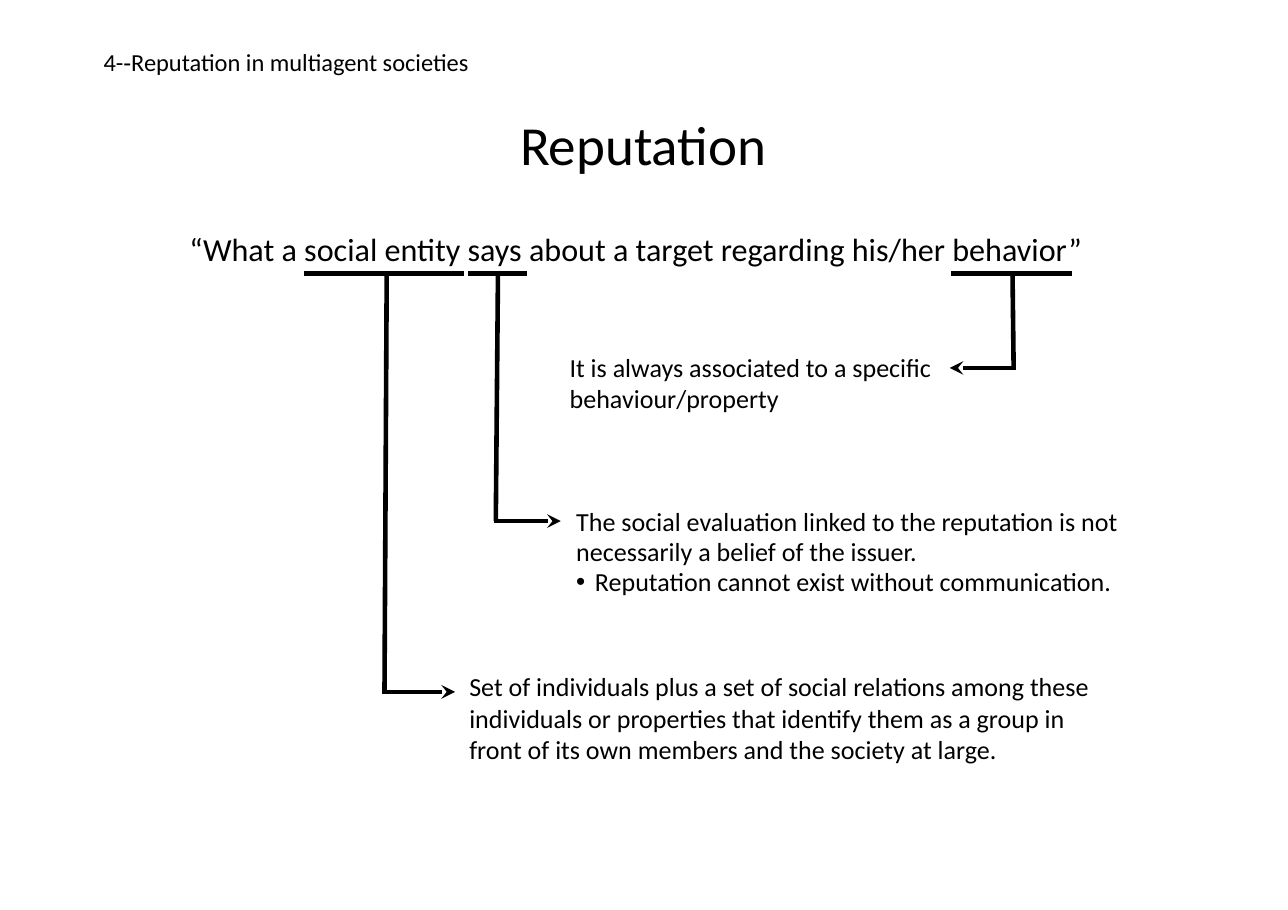
import pptx
import pptx.util
import pptx.dml.color
import pptx.enum.dml
import pptx.enum.shapes
import pptx.enum.text
import pptx.oxml
import pptx.oxml.ns

Inches, Pt = pptx.util.Inches, pptx.util.Pt
COLORS = {"ink": "000000", "paper": "FFFFFF"}
INK = pptx.dml.color.RGBColor.from_string(COLORS["ink"])
FRAME = {
    "word_wrap": True,
    "auto_size": pptx.enum.text.MSO_AUTO_SIZE.NONE,
    "vertical_anchor": pptx.enum.text.MSO_ANCHOR.TOP,
    "margin_left": 0,
    "margin_right": 0,
    "margin_bottom": 0,
}


def fill_text(sp, box, lines, size, inset, **spacing):
    """Place a text shape and write its formatted paragraphs."""
    sp.left, sp.top, sp.width, sp.height = [Inches(v) for v in box]
    tf = sp.text_frame
    for name, value in FRAME.items():
        setattr(tf, name, value)
    tf.margin_top = Inches(inset)
    formats = {"alignment": pptx.enum.text.PP_ALIGN.LEFT, "line_spacing": 1.0,
               "space_before": Pt(0), "space_after": Pt(0), **spacing}
    for i, line in enumerate(lines):
        p = tf.paragraphs[0] if i == 0 else tf.add_paragraph()
        for name, value in formats.items():
            setattr(p, name, value)
        r = p.add_run()
        r.text = line
        for name, value in {"name": "Calibri", "size": Pt(size), "bold": False}.items():
            setattr(r.font, name, value)
        r.font.color.rgb = INK
    return tf


def add_line(s, x1, y1, x2, y2, arrow=False):
    """Draw a thick line, with an arrowhead at its end if asked."""
    line = s.shapes.add_connector(pptx.enum.shapes.MSO_CONNECTOR.STRAIGHT,
                                  Inches(x1), Inches(y1), Inches(x2), Inches(y2))
    line.line.width = Pt(3)
    line.line.color.rgb = INK
    ns = pptx.oxml.ns.nsdecls("a")
    if arrow:
        ln = line.line._get_or_add_ln()
        ln.append(pptx.oxml.parse_xml(f'<a:tailEnd {ns} type="stealth" w="med" len="med"/>'))
    line._element.spPr.append(pptx.oxml.parse_xml(f"<a:effectLst {ns}/>"))


prs = pptx.Presentation()
prs.slide_width, prs.slide_height = Inches(11.69), Inches(8.26)
s = prs.slides.add_slide(prs.slide_layouts[1])
s.background.fill.solid()
s.background.fill.fore_color.rgb = pptx.dml.color.RGBColor.from_string(COLORS["paper"])

# Title
fill_text(s.shapes.title, (4.72, 0.99, 3.73, 0.63), ["Reputation"], 36, 0.01,
          space_before=Pt(1))

# Body: evaluation note with one bullet
tf = fill_text(s.placeholders[1], (5.23, 4.56, 5.27, 0.9), [
    "The social evaluation linked to the reputation is not necessarily a belief of the issuer.",
    "Reputation cannot exist without communication.",
], 17, 0.03, line_spacing=Pt(20))
note, bullet = tf.paragraphs
note.space_before = Pt(2)
bullet.line_spacing = Pt(19.4)
for p, margin, indent in [(note, 0, 0), (bullet, 0.17, -0.17)]:
    pPr = p._p.get_or_add_pPr()
    pPr.set("marL", str(Inches(margin)))
    pPr.set("indent", str(Inches(indent)))
note._p.pPr.append(pptx.oxml.parse_xml(f'<a:buNone {pptx.oxml.ns.nsdecls("a")}/>'))

# Header, quotation and the two plain notes
texts = [
    ((0.94, 0.42, 3.6, 0.29), "4-‐Reputation in multiagent societies", 16, 0.01,
     {"space_before": Pt(1)}),
    ((1.72, 2.07, 9.56, 0.38),
     "“What a social entity says about a target regarding his/her behavior”", 21, 0.01,
     {"space_before": Pt(1)}),
    ((5.17, 3.17, 3.59, 0.59),
     "It is always associated to a speciﬁc behaviour/property", 17, 0.03,
     {"space_before": Pt(2), "line_spacing": Pt(20)}),
    ((4.26, 6.09, 5.74, 0.9),
     "Set of individuals plus a set of social relations among these individuals or "
     "properties that identify them as a group in front of its own members and the "
     "society at large.", 17, 0, {}),
]
for box, text, size, inset, spacing in texts:
    sp = s.shapes.add_textbox(*[Inches(v) for v in box])
    fill_text(sp, box, [text], size, inset, **spacing)

# Underlined phrases, each with a stem and an arrow to its note
# underline start, underline end, stem top x, stem foot x, foot y, arrow tip x
UNDERLINE_Y = 2.48
callouts = [
    (2.76, 4.21, 3.51, 3.49, 6.28, 4.13),
    (4.25, 4.78, 4.52, 4.5, 4.73, 5.09),
    (8.63, 9.73, 9.19, 9.2, 3.34, 8.62),
]
for start, end, top_x, foot_x, foot_y, tip_x in callouts:
    corner = 0.02 if tip_x < foot_x else -0.02
    add_line(s, start, UNDERLINE_Y, end, UNDERLINE_Y)
    add_line(s, top_x, UNDERLINE_Y, foot_x, foot_y)
    add_line(s, foot_x + corner, foot_y, tip_x, foot_y, arrow=True)

prs.save("out.pptx")
